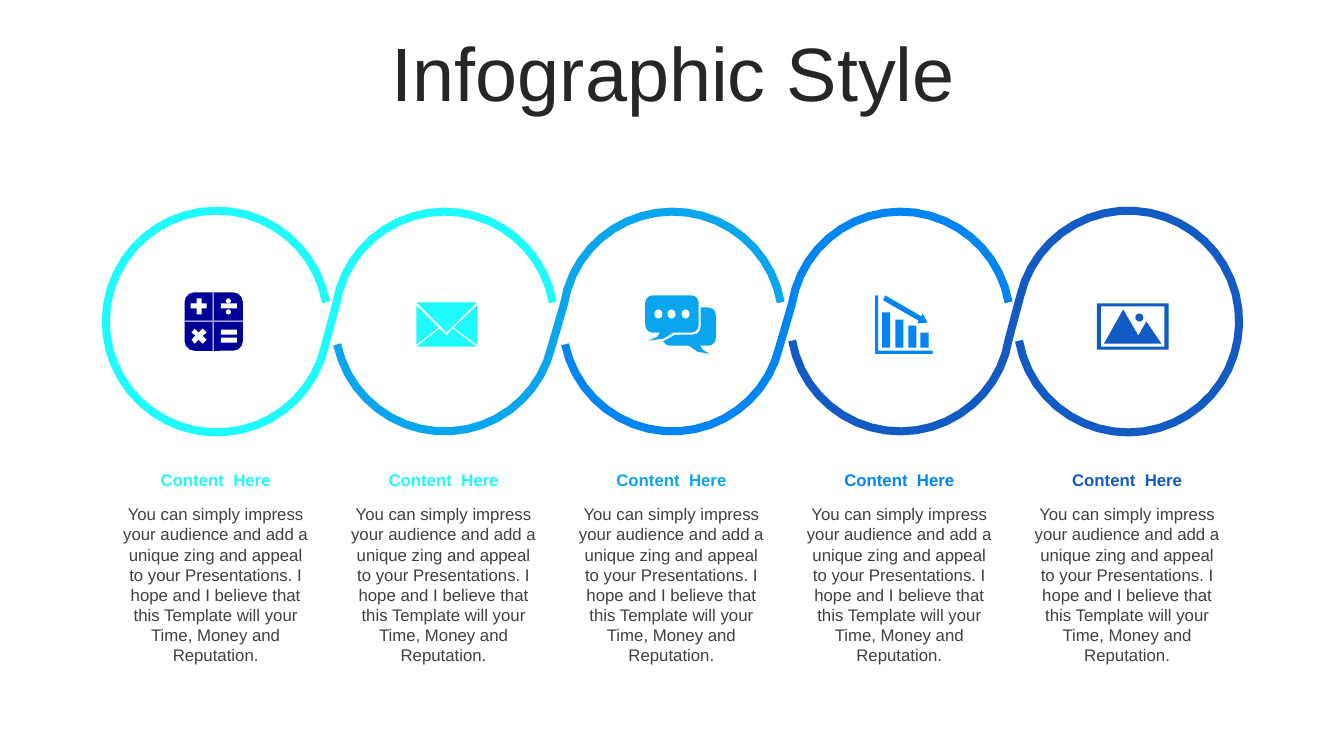
import math

from pptx import Presentation
from pptx.dml.color import RGBColor
from pptx.enum import shapes, text
from pptx.util import Pt

PX = 9144  # 100 px to the inch
COLORS = {
    "cyan": "1FFBFD", "sky": "0AA6ED", "blue": "0085F2", "royal": "125AC4",
    "navy": "000096", "white": "FFFFFF", "title": "262626", "body": "404040",
}
KIND = shapes.MSO_SHAPE
PITCH = 226
BODY = ("You can simply impress your audience and add a unique zing and appeal "
        "to your Presentations. I hope and I believe that this Template will "
        "your Time, Money and Reputation.")

prs = Presentation()
prs.slide_width, prs.slide_height = 1333 * PX, 750 * PX
s = prs.slides.add_slide(prs.slide_layouts[6])


def add_preset(kind, x, y, w, h, color, adjust=None):
    sp = s.shapes.add_shape(kind, x * PX, y * PX, w * PX, h * PX)
    sp.shadow.inherit = False
    sp.fill.solid()
    sp.fill.fore_color.rgb = RGBColor.from_string(COLORS[color])
    sp.line.fill.background()
    if adjust is not None:
        sp.adjustments[0] = adjust


def add_outline(color, *contours, stroke=0):
    """Draw one freeform: filled contours, or open lines if stroke is given."""
    builder = s.shapes.build_freeform(contours[0][0][0] * PX,
                                      contours[0][0][1] * PX, scale=1.0)
    for n, contour in enumerate(contours):
        first, *rest = [(x * PX, y * PX) for x, y in contour]
        if n:
            builder.move_to(*first)
        builder.add_line_segments(rest, close=not stroke)
    sp = builder.convert_to_shape()
    sp.shadow.inherit = False
    rgb = RGBColor.from_string(COLORS[color])
    if stroke:
        sp.fill.background()
        sp.line.color.rgb = rgb
        sp.line.width = stroke * PX
    else:
        sp.fill.solid()
        sp.fill.fore_color.rgb = rgb
        sp.line.fill.background()


# Title and captions: text, left, top, width, height, size, bold, color
captions = [("Infographic Style", 35, 37, 1266, 79, 54, False, "title")]
for i, color in enumerate(["cyan", "cyan", "sky", "blue", "royal"]):
    left = 111 + PITCH * i
    captions += [("Content  Here", left, 461, 206, 30, 12, True, color),
                 (BODY, left, 495, 206, 172, 12, False, "body")]
for words, x, y, w, h, size, bold, color in captions:
    tf = s.shapes.add_textbox(x * PX, y * PX, w * PX, h * PX).text_frame
    tf.word_wrap = True
    p = tf.paragraphs[0]
    p.text = words
    p.alignment = text.PP_ALIGN.CENTER
    p.font.name, p.font.size, p.font.bold = "Arial", Pt(size), bold
    p.font.color.rgb = RGBColor.from_string(COLORS[color])
    if color == "title":
        tf.vertical_anchor = text.MSO_ANCHOR.MIDDLE
        p.line_spacing = 0.9

# Ribbons: each runs along one circle, then crosses over to the next.
# Arcs hold start angle, end angle (clockwise from the right) and radius.
lower, upper = (168, 13, 109), (189, 350, 109)
ribbons = [
    ("cyan", (-10, -347, 110), upper),
    ("sky", lower, upper),
    ("blue", lower, upper),
    ("royal", (170, 9, 109), (193, 530, 110)),
]
for i, (color, *arcs) in enumerate(ribbons):
    track = []
    for j, (start, end, radius) in enumerate(arcs):
        center = 215 + PITCH * (i + j)
        steps = abs(end - start) // 8
        for k in range(steps + 1):
            a = math.radians(start + (end - start) * k / steps)
            track.append((center + radius * math.cos(a),
                          319 + radius * math.sin(a)))
    add_outline(color, track, stroke=8)

# Calculator
add_preset(KIND.ROUNDED_RECTANGLE, 183, 290, 58, 58, "navy", adjust=0.17)
gaps_and_bars = [(211, 290, 1, 58), (183, 318, 58, 1), (219, 301, 16, 5),
                 (219, 327, 16, 5), (219, 335, 16, 5)]
add_outline(
    "white",
    [(195, 296), (200, 296), (200, 301), (205, 301), (205, 306), (200, 306),
     (200, 312), (195, 312), (195, 306), (189, 306), (189, 301), (195, 301)],
    [(193, 326), (197, 330), (201, 326), (205, 330), (201, 333), (205, 337),
     (201, 341), (197, 337), (193, 341), (190, 337), (194, 333), (190, 330)],
    *[[(x, y), (x + w, y), (x + w, y + h), (x, y + h)]
      for x, y, w, h in gaps_and_bars],
)
for y in (296, 307):
    add_preset(KIND.OVAL, 224, y, 5, 5, "white")

# Envelope
add_outline(
    "cyan",
    [(449, 326), (473, 344), (413, 344), (436, 326), (443, 333)],
    [(473, 303), (473, 342), (450, 325)],
    [(413, 303), (435, 325), (413, 342)],
    [(413, 300), (473, 300), (443, 330)],
)

# Speech bubbles
add_preset(KIND.ROUNDED_RECTANGLE, 657, 305, 53, 38, "sky", adjust=0.2)
add_preset(KIND.ROUNDED_RECTANGLE, 638, 291, 57, 41, "white", adjust=0.2)
add_outline("white", [(652, 331), (671, 331), (657, 339)])
add_preset(KIND.ROUNDED_RECTANGLE, 640, 293, 53, 37, "sky", adjust=0.2)
add_outline(
    "sky",
    [(682, 342), (694, 342), (697, 347), (704, 351), (692, 349)],
    [(655, 329), (668, 330), (658, 336), (643, 338), (652, 334)],
)
for x in (649, 662, 676):
    add_preset(KIND.OVAL, x, 307, 8, 9, "white")

# Falling bar chart: axes, arrow, bars
add_outline(
    "blue",
    [(868, 293), (871, 293), (871, 348), (925, 348), (925, 351), (868, 351)],
    [(878, 293), (914, 314), (915, 311), (920, 320), (910, 321), (911, 318),
     (876, 298)],
    *[[(x, top), (x + 8, top), (x + 8, 345), (x, 345)]
      for x, top in zip((875, 888, 901, 913), (310, 317, 323, 330))],
)

# Landscape in a frame
add_outline(
    "royal",
    [(1088, 301), (1159, 301), (1159, 347), (1088, 347)],
    [(1092, 304), (1092, 344), (1155, 344), (1155, 304)],
    [(1114, 307), (1129, 333), (1137, 319), (1152, 341), (1095, 341)],
)
add_preset(KIND.OVAL, 1126, 311, 8, 8, "royal")

prs.save("out.pptx")
